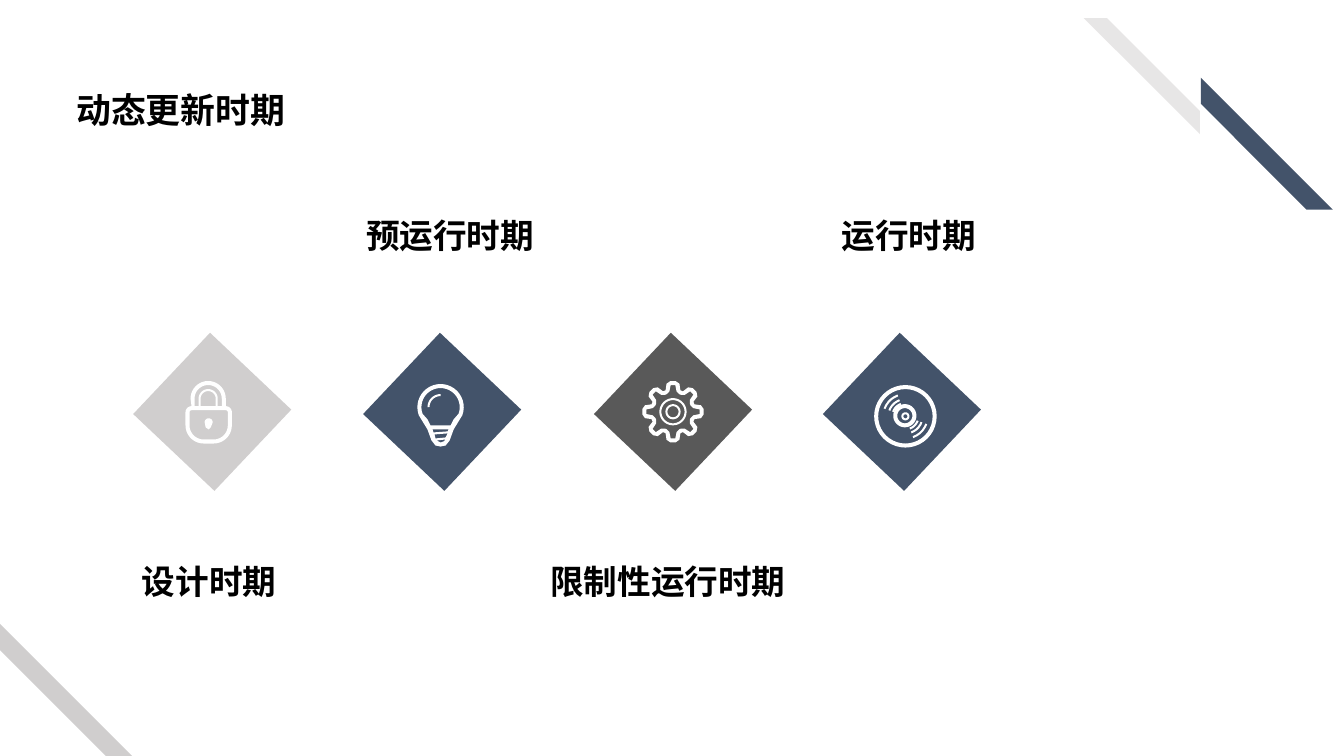
"""Build the slide on the four periods of dynamic updating."""
from math import cos, radians, sin

from lxml.etree import SubElement
from pptx import Presentation
from pptx.dml.color import RGBColor
from pptx.enum.shapes import MSO_SHAPE
from pptx.enum.text import MSO_ANCHOR, MSO_AUTO_SIZE, PP_ALIGN
from pptx.oxml.ns import qn
from pptx.util import Pt

PX = 9144
COLORS = {
    "white": "FFFFFF", "black": "000000", "silver": "D0CECE",
    "pale": "E7E6E6", "slate": "43536A", "graphite": "595959",
}
CJK_FONT = "Noto Sans CJK SC"
TITLE = {
    "frame": {"margin_left": 91440, "vertical_anchor": MSO_ANCHOR.MIDDLE},
    "paragraph": {"line_spacing": 1.1},
    "font": {"size": Pt(24.9), "name": "Calibri", "bold": True},
}
LABEL = {
    "frame": {"margin_left": 16 * PX, "margin_right": 16 * PX,
              "margin_top": 8 * PX, "margin_bottom": 8 * PX},
    "paragraph": {"line_spacing": 1.2, "space_before": Pt(4.8),
                  "alignment": PP_ALIGN.CENTER},
    "font": {"size": Pt(24), "name": CJK_FONT, "bold": True},
}


def apply_format(target, values):
    """Set each named attribute on the target."""
    for attribute, value in values.items():
        setattr(target, attribute, value)


def paint(shape, color):
    """Give a shape a flat fill without line or shadow."""
    shape.shadow.inherit = False
    shape.fill.solid()
    shape.fill.fore_color.rgb = RGBColor.from_string(COLORS[color])
    shape.line.fill.background()


def polar(circle, angle, inset=0):
    """Return the point at an angle on a circle given as left, top, size."""
    left, top, size = circle
    radius = size / 2 - inset
    return (left + size / 2 + radius * cos(radians(angle)),
            top + size / 2 + radius * sin(radians(angle)))


def arc(circle, start, end, inset=0):
    """Return evenly spaced points along an arc."""
    steps = max(4, abs(end - start) // 9)
    return [polar(circle, start + (end - start) * i / steps, inset)
            for i in range(steps + 1)]


def band(circle, start, end, inset, width):
    """Return the outline of a thick arc."""
    return (arc(circle, start, end, inset)
            + arc(circle, end, start, inset + width))


def outline(shapes, color, *contours):
    """Draw closed contours as one shape, inner contours being holes."""
    scaled = [[(x * PX, y * PX) for x, y in contour] for contour in contours]
    builder = shapes.build_freeform(*scaled[0][0], scale=1.0)
    builder.add_line_segments(scaled[0][1:], close=True)
    for contour in scaled[1:]:
        builder.move_to(*contour[0])
        builder.add_line_segments(contour[1:], close=True)
    paint(builder.convert_to_shape(), color)


def ring(shapes, circle, width):
    """Draw a white ring."""
    outline(shapes, "white", arc(circle, 0, 360), arc(circle, 0, 360, width))


def draw_lock(shapes):
    """Draw the padlock."""
    shackle = (189, 378, 35)
    corners = [((218, 403, 12), -90), ((194, 404, 36), 0),
               ((184, 404, 36), 90), ((184, 403, 12), 180)]

    def body(inset):
        return [point for corner, start in corners
                for point in arc(corner, start, start + 90, inset)]

    def arch(inset):
        left, _, size = shackle
        return ([(left + inset, 403)] + arc(shackle, 180, 360, inset)
                + [(left + size - inset, 403)])

    outline(shapes, "white", arc(shackle, 180, 360) + body(0), body(4),
            arch(4) + arch(8)[::-1], arch(10))
    outline(shapes, "white", arc((203, 415, 8), 180, 360)
            + [(209, 424), (207, 426), (204, 424)])


def draw_gear(shapes):
    """Draw the cogwheel with eight teeth."""
    wheel = (637, 378, 61)

    def teeth(flank):
        profile = ([(-angle, inset) for angle, inset in flank]
                   + flank[::-1])
        return [polar(wheel, turn + angle, inset)
                for turn in range(0, 360, 45) for angle, inset in profile]

    outline(shapes, "white", teeth([(19, 8), (13, 2), (5, 0)]),
            teeth([(20, 12), (10, 10), (5, 4)]))
    ring(shapes, (654, 395, 27), 2)
    ring(shapes, (660, 401, 15), 2)


def draw_disc(shapes):
    """Draw the disc with grooves on two opposite sides."""
    disc = (867, 382, 62)
    for circle, width in [(disc, 4), ((894, 409, 8), 2), ((886, 401, 23), 4)]:
        ring(shapes, circle, width)
    for start in (20, 200):
        for inset in (17, 13, 8):
            outline(shapes, "white", band(disc, start, start + 50, inset, 2))


def draw_bulb(shapes):
    """Draw the light bulb."""
    glass = (414, 381, 46)
    outline(
        shapes, "white",
        arc(glass, 160, 380) + [(450, 426), (446, 437), (442, 442), (437, 443),
                                (432, 442), (428, 437), (424, 426)],
        arc(glass, 160, 380, 4) + [(450, 416), (447, 422),
                                   (427, 422), (424, 416)],
        [(430, 429), (429, 426), (445, 426), (444, 428)],
        [(432, 435), (431, 431), (444, 430), (442, 434)],
        [(433, 437), (442, 436), (440, 438), (437, 439)])
    outline(shapes, "white", band(glass, 180, 270, 10, 2))


def add_period(slide, left, color, draw_icon):
    """Add a tilted square with its icon as one group."""
    shapes = slide.shapes.add_group_shape().shapes
    tile = shapes.add_shape(MSO_SHAPE.RECTANGLE, left * PX, 353 * PX,
                            111 * PX, 111 * PX)
    tile.rotation = 223.4
    paint(tile, color)
    draw_icon(shapes)


def add_stripe(shapes, left, top, side, width, color, from_top=False):
    """Add a diagonal stripe cut along a vertical or a horizontal edge."""
    offsets = [(0, 0), (side, side), (side - width, side), (0, width)]
    if from_top:
        offsets = [(y, x) for x, y in offsets]
    outline(shapes, color, [(left + x, top + y) for x, y in offsets])


def add_text(slide, wording, box, style):
    """Add one line of styled text."""
    textbox = slide.shapes.add_textbox(*(length * PX for length in box))
    frame = textbox.text_frame
    apply_format(frame, {"word_wrap": True,
                         "auto_size": MSO_AUTO_SIZE.SHAPE_TO_FIT_TEXT})
    apply_format(frame, style["frame"])
    paragraph = frame.paragraphs[0]
    apply_format(paragraph, style["paragraph"])
    run = paragraph.add_run()
    run.text = wording
    apply_format(run.font, style["font"])
    run.font.color.rgb = RGBColor.from_string(COLORS["black"])
    SubElement(run.font._element, qn("a:ea")).set("typeface", CJK_FONT)


def main():
    """Build and save the slide."""
    deck = Presentation()
    apply_format(deck, {"slide_width": 1333 * PX, "slide_height": 750 * PX})
    slide = deck.slides.add_slide(deck.slide_layouts[6])
    for left, color, draw_icon in [
            (155, "silver", draw_lock), (612, "graphite", draw_gear),
            (839, "slate", draw_disc), (383, "slate", draw_bulb)]:
        add_period(slide, left, color, draw_icon)
    corner = slide.shapes.add_group_shape().shapes
    add_stripe(corner, 1075, 18, 115, 23, "pale", from_top=True)
    add_stripe(corner, 1191, 77, 131, 26, "slate")
    add_stripe(slide.shapes, 0, 619, 131, 26, "silver")
    add_text(slide, "动态更新时期", (66, 80, 441, 53), TITLE)
    for wording, left, top in [
            ("设计时期", 57, 540), ("限制性运行时期", 512, 540),
            ("运行时期", 751, 197), ("预运行时期", 296, 197)]:
        add_text(slide, wording, (left, top, 301, 60), LABEL)
    deck.save("out.pptx")


if __name__ == "__main__":
    main()
